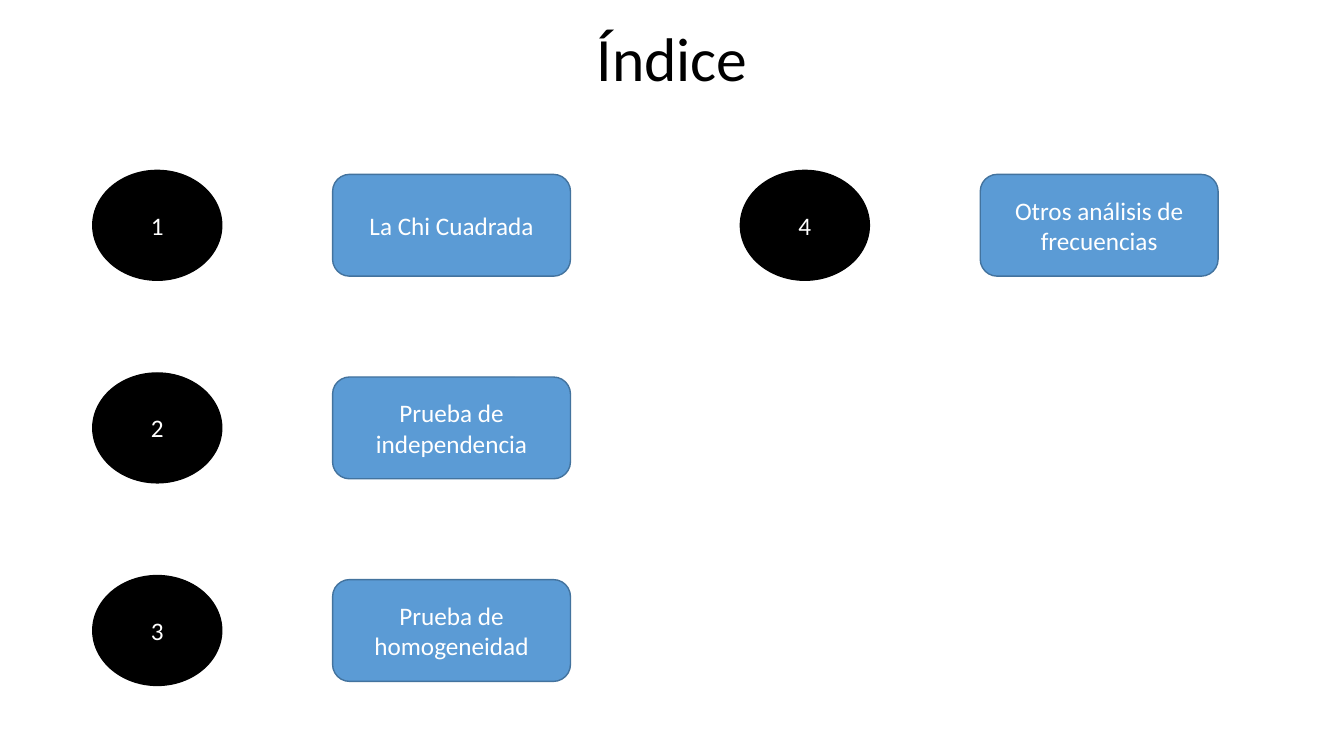
from dataclasses import dataclass

from pptx import Presentation
from pptx.dml.color import RGBColor
from pptx.enum import shapes, text
from pptx.util import Pt

FONT = "Calibri"
LEFT, FIRST_CENTER = 66.24, 160.92
COLUMN_STEP, ROW_STEP = 462.6, 144.72
ROWS = 3
TOPIC_OFFSET = 171.36
TOPICS = [
    "La Chi Cuadrada",
    "Prueba de independencia",
    "Prueba de homogeneidad",
    "Otros análisis de frecuencias",
]


@dataclass(frozen=True)
class Style:
    kind: shapes.MSO_SHAPE
    width: float
    height: float
    fill: str
    line: str


NUMBER = Style(shapes.MSO_SHAPE.OVAL, 92.16, 78.48, "000000", "000000")
TOPIC = Style(shapes.MSO_SHAPE.ROUNDED_RECTANGLE, 169.92, 72.72, "5B9BD5", "43739E")


def rgb(value: str) -> RGBColor:
    return RGBColor.from_string(value)


def write(sp, content: str, *, size: float = 18, color: str = "FFFFFF",
          spacing: float = 1.0) -> None:
    tf = sp.text_frame
    tf.word_wrap = True
    tf.auto_size = text.MSO_AUTO_SIZE.NONE
    tf.vertical_anchor = text.MSO_ANCHOR.MIDDLE
    p = tf.paragraphs[0]
    p.alignment = text.PP_ALIGN.CENTER
    p.line_spacing = spacing
    r = p.add_run()
    r.text = content
    r.font.name = FONT
    r.font.size = Pt(size)
    r.font.color.rgb = rgb(color)


def draw(s, style: Style, left: float, center: float, content: str) -> None:
    sp = s.shapes.add_shape(style.kind, Pt(left), Pt(center - style.height / 2),
                            Pt(style.width), Pt(style.height))
    sp.shadow.inherit = False
    sp.fill.solid()
    sp.fill.fore_color.rgb = rgb(style.fill)
    sp.line.color.rgb = rgb(style.line)
    sp.line.width = Pt(1)
    write(sp, content)


def main() -> None:
    prs = Presentation()
    prs.slide_width, prs.slide_height = Pt(960), Pt(540)
    s = prs.slides.add_slide(prs.slide_layouts[5])

    title = s.shapes.title
    title.left, title.top = Pt(LEFT), Pt(12.24)
    title.width, title.height = Pt(828), Pt(64.08)
    write(title, "Índice", size=44, color="000000", spacing=0.9)

    for i, topic in enumerate(TOPICS):
        column, row = divmod(i, ROWS)
        left = LEFT + column * COLUMN_STEP
        center = FIRST_CENTER + row * ROW_STEP
        draw(s, NUMBER, left, center, str(i + 1))
        draw(s, TOPIC, left + TOPIC_OFFSET, center, topic)

    prs.save("out.pptx")


if __name__ == "__main__":
    main()
